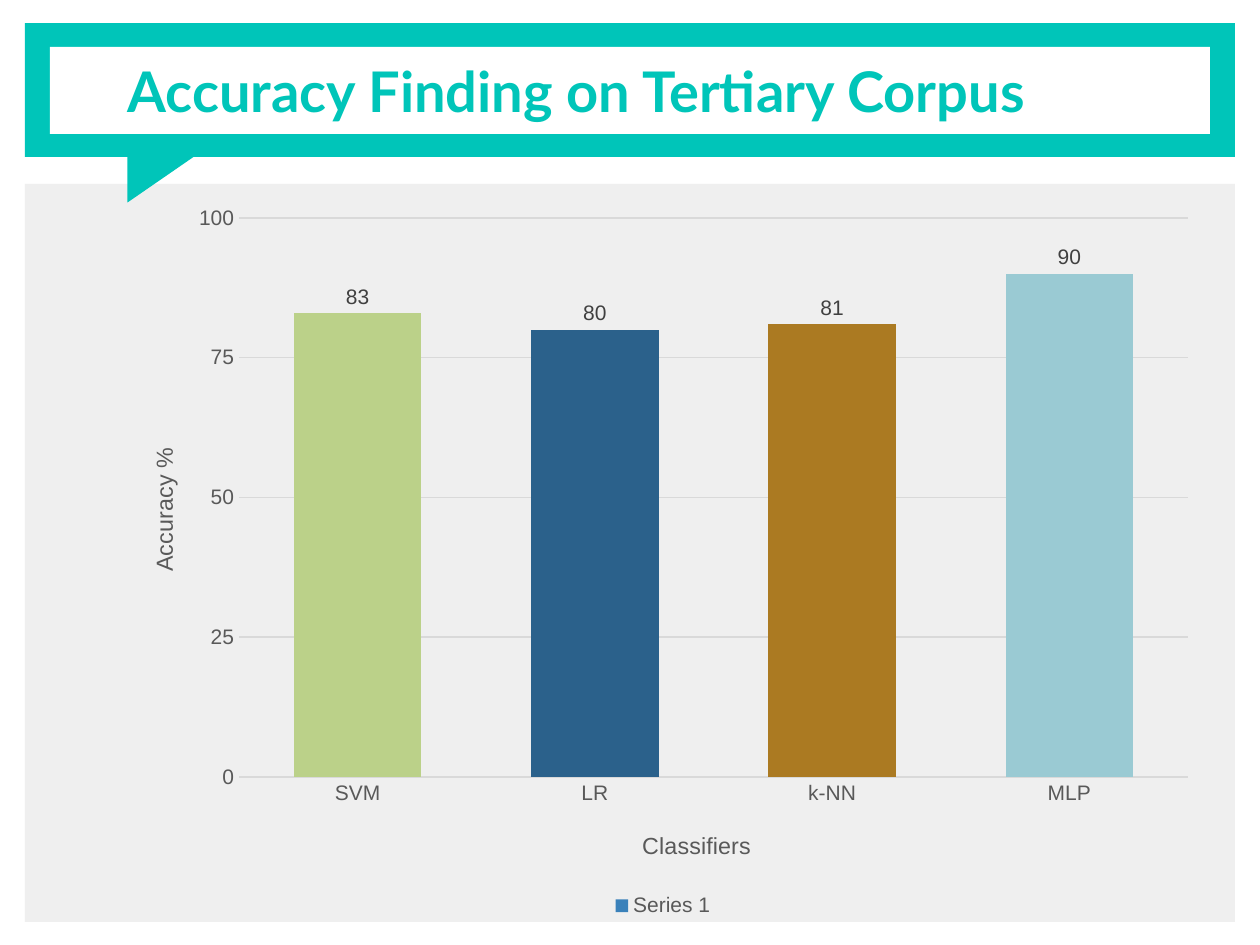
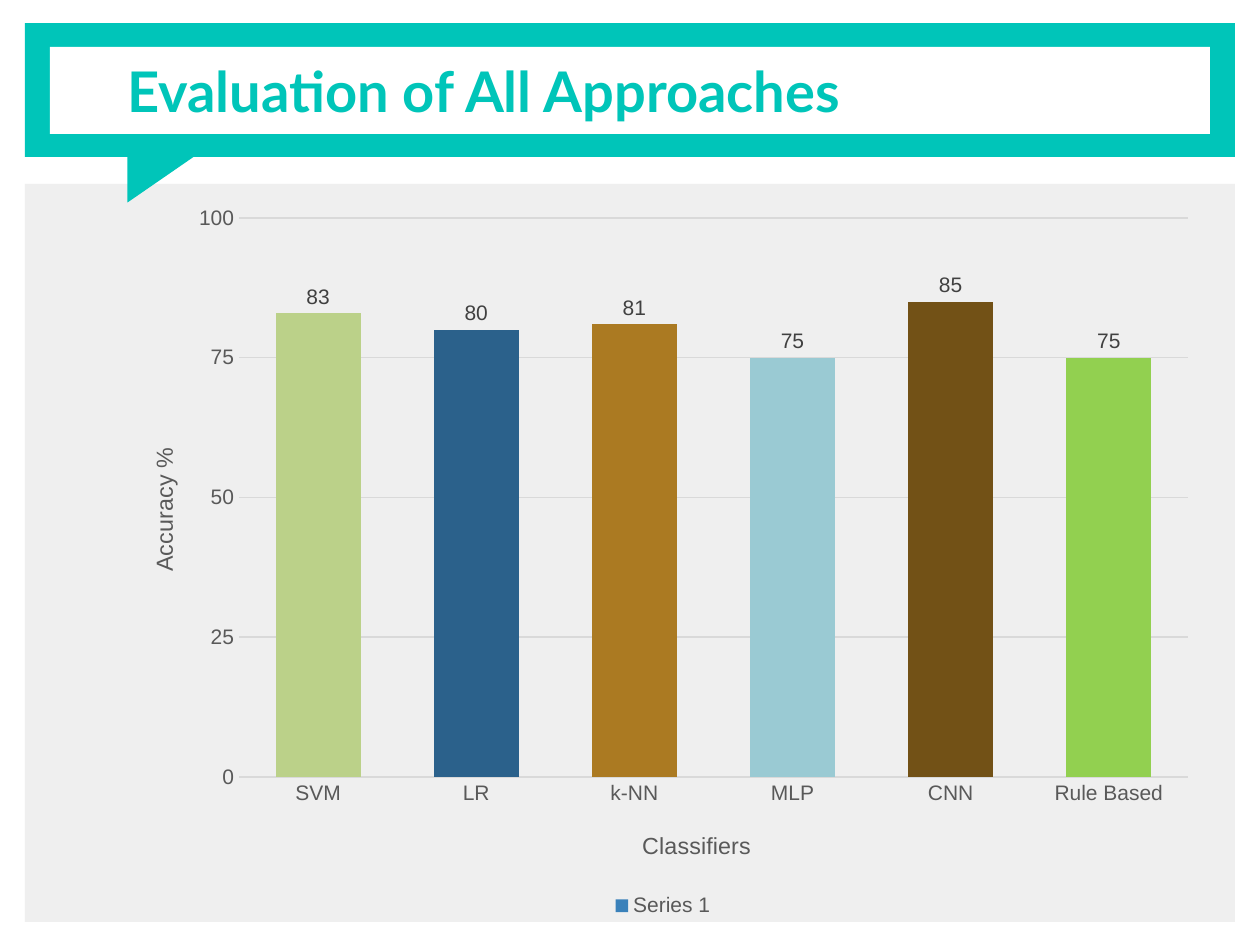
from dataclasses import dataclass

from lxml import etree
from pptx import Presentation, util as u
from pptx.chart.data import CategoryChartData
from pptx.dml.color import RGBColor
from pptx.enum import chart as ch, shapes, text
from pptx.oxml.ns import qn

PX = 914400 / 126  # EMU in one pixel


@dataclass(frozen=True)
class Theme:
    teal: str = "00C5B9"
    white: str = "FFFFFF"
    panel: str = "EFEFEF"
    grid: str = "D9D9D9"
    axis_text: str = "595959"
    label_text: str = "404040"
    series: str = "3A81BA"
    bars: tuple[str, ...] = ("BBD189", "2B618B", "AB7A22", "9ACAD3", "725116", "92D050")
    title_font: str = "Lato"
    chart_font: str = "Arial"
    title_size: float = 32
    axis_title_size: float = 13.3
    chart_size: float = 12


@dataclass(frozen=True)
class Box:
    left: int
    top: int
    width: int
    height: int

    def emu(self) -> list[int]:
        return [px(v) for v in (self.left, self.top, self.width, self.height)]


@dataclass(frozen=True)
class Band:
    box: Box
    color: str
    preset: shapes.MSO_SHAPE = shapes.MSO_SHAPE.RECTANGLE
    rotation: int = 0


@dataclass(frozen=True)
class AccuracySlide:
    title: str
    scores: dict[str, int]


THEME = Theme()
TITLE = Box(115, 23, 1096, 134)
CHART = Box(115, 193, 1096, 729)
PLOT = Box(239, 218, 949, 559)
CATEGORY_TITLE_AT = (638, 826)
VALUE_TITLE_AT = (145, 443)

# Background panel and speech-bubble header, back to front
BANDS = (
    Band(Box(25, 184, 1210, 738), THEME.panel),
    Band(Box(25, 23, 1210, 134), THEME.teal),
    Band(Box(141, 129, 60, 87), THEME.teal, shapes.MSO_SHAPE.RIGHT_TRIANGLE, 90),
    Band(Box(50, 47, 1160, 87), THEME.white),
)

SLIDES = (
    AccuracySlide("Accuracy Finding on Tertiary Corpus",
                  {"SVM": 83, "LR": 80, "k-NN": 81, "MLP": 90}),
    AccuracySlide("Evaluation of All Approaches",
                  {"SVM": 83, "LR": 80, "k-NN": 81, "MLP": 75, "CNN": 85,
                   "Rule Based": 75}),
)


def px(pixels: int) -> int:
    return round(pixels * PX)


def apply(target, **values) -> None:
    for name, value in values.items():
        setattr(target, name, value)


def set_fill(fill, color: str) -> None:
    fill.solid()
    fill.fore_color.rgb = RGBColor.from_string(color)


def set_font(font, name: str, size: float, color: str, bold: bool = False) -> None:
    apply(font, name=name, size=u.Pt(size), bold=bold)
    font.color.rgb = RGBColor.from_string(color)


def set_line(line, color: str) -> None:
    set_fill(line.fill, color)
    line.width = u.Pt(0.75)


def draw_band(slide, band: Band) -> None:
    shape = slide.shapes.add_shape(band.preset, *band.box.emu())
    shape.rotation = band.rotation
    shape.shadow.inherit = False
    set_fill(shape.fill, band.color)
    shape.line.fill.background()


def draw_title(slide, wording: str) -> None:
    frame = slide.shapes.add_textbox(*TITLE.emu()).text_frame
    margins = dict.fromkeys(
        ("margin_left", "margin_top", "margin_right", "margin_bottom"), u.Inches(0.1))
    apply(frame, word_wrap=True, vertical_anchor=text.MSO_ANCHOR.MIDDLE, **margins)
    run = frame.paragraphs[0].add_run()
    run.text = wording
    set_font(run.font, THEME.title_font, THEME.title_size, THEME.teal, bold=True)


def place(parent, index: int, left: int, top: int, size: tuple[int, int] | None = None) -> None:
    """Put a chart part at a fixed place, as fractions of the chart area."""
    for old in parent.findall(qn("c:layout")):
        parent.remove(old)
    layout = etree.Element(qn("c:layout"))
    parent.insert(index, layout)
    manual = etree.SubElement(layout, qn("c:manualLayout"))
    values = {"xMode": "edge", "yMode": "edge",
              "x": (left - CHART.left) / CHART.width,
              "y": (top - CHART.top) / CHART.height}
    if size:
        values = {"layoutTarget": "inner", **values,
                  "w": size[0] / CHART.width, "h": size[1] / CHART.height}
    for tag, value in values.items():
        etree.SubElement(manual, qn(f"c:{tag}")).set("val", str(value))


def style_axis(axis, wording: str, title_at: tuple[int, int]) -> None:
    apply(axis, major_tick_mark=ch.XL_TICK_MARK.NONE, minor_tick_mark=ch.XL_TICK_MARK.NONE)
    set_font(axis.tick_labels.font, THEME.chart_font, THEME.chart_size, THEME.axis_text)
    run = axis.axis_title.text_frame.paragraphs[0].add_run()
    run.text = wording
    set_font(run.font, THEME.chart_font, THEME.axis_title_size, THEME.axis_text)
    place(axis.axis_title.element, 1, *title_at)


def draw_chart(slide, scores: dict[str, int]) -> None:
    data = CategoryChartData()
    data.categories = list(scores)
    data.add_series("Series 1", list(scores.values()))
    chart = slide.shapes.add_chart(
        ch.XL_CHART_TYPE.COLUMN_CLUSTERED, *CHART.emu(), data).chart
    set_font(chart.font, THEME.chart_font, THEME.chart_size, THEME.axis_text)
    apply(chart, has_title=False, has_legend=True)
    apply(chart.legend, position=ch.XL_LEGEND_POSITION.BOTTOM, include_in_layout=False)
    set_font(chart.legend.font, THEME.chart_font, THEME.chart_size, THEME.axis_text)
    place(chart.element.find(f".//{qn('c:plotArea')}"), 0, PLOT.left, PLOT.top,
          (PLOT.width, PLOT.height))

    # Axes
    classifiers, accuracy = chart.category_axis, chart.value_axis
    style_axis(classifiers, "Classifiers", CATEGORY_TITLE_AT)
    set_line(classifiers.format.line, THEME.grid)
    style_axis(accuracy, "Accuracy %", VALUE_TITLE_AT)
    apply(accuracy, minimum_scale=0, maximum_scale=100, major_unit=25,
          has_major_gridlines=True)
    accuracy.format.line.fill.background()
    set_line(accuracy.major_gridlines.format.line, THEME.grid)
    turned = accuracy.axis_title.element.find(f".//{qn('a:bodyPr')}")
    turned.set("rot", "-5400000")
    turned.set("vert", "horz")

    # Bars, one colour for each classifier
    plot = chart.plots[0]
    apply(plot, gap_width=86, overlap=-27, vary_by_categories=False, has_data_labels=True)
    apply(plot.data_labels, show_value=True, position=ch.XL_LABEL_POSITION.OUTSIDE_END)
    set_font(plot.data_labels.font, THEME.chart_font, THEME.chart_size, THEME.label_text)
    bars = plot.series[0]
    set_fill(bars.format.fill, THEME.series)
    for index, color in enumerate(THEME.bars[:len(scores)]):
        set_fill(bars.points[index].format.fill, color)


def main() -> None:
    deck = Presentation()
    apply(deck, slide_width=px(1260), slide_height=px(945))
    for content in SLIDES:
        slide = deck.slides.add_slide(deck.slide_layouts[6])
        set_fill(slide.background.fill, THEME.white)
        for band in BANDS:
            draw_band(slide, band)
        draw_title(slide, content.title)
        draw_chart(slide, content.scores)
    deck.save("out.pptx")


main()
